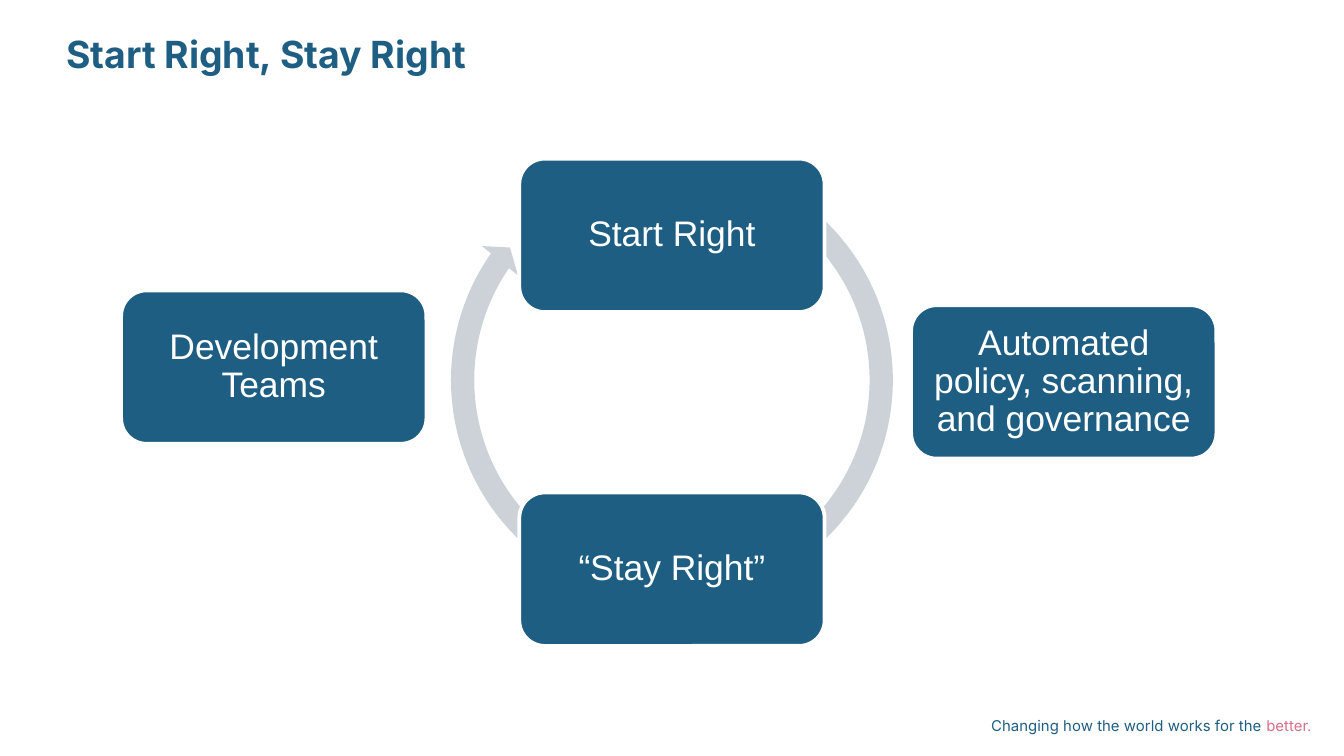
from lxml import etree
from pptx import Presentation
from pptx.dml.color import RGBColor
from pptx.enum.shapes import MSO_SHAPE
from pptx.enum.text import MSO_ANCHOR, MSO_AUTO_SIZE, PP_ALIGN
from pptx.util import Cm, Pt

ROUNDED = MSO_SHAPE.ROUNDED_RECTANGLE
CIRCULAR_ARROW = MSO_SHAPE.CIRCULAR_ARROW
TOP, MIDDLE = MSO_ANCHOR.TOP, MSO_ANCHOR.MIDDLE
LEFT, CENTER, RIGHT = PP_ALIGN.LEFT, PP_ALIGN.CENTER, PP_ALIGN.RIGHT
NO_AUTOFIT = MSO_AUTO_SIZE.NONE

COLORS = {"blue": "1E5E82", "pink": "D86E89", "grey": "CDD2D8", "white": "FFFFFF"}
SLIDE_WIDTH, SLIDE_HEIGHT = 25.4, 14.29
BOX_WIDTH, BOX_HEIGHT = 5.77, 2.9
CENTER_LEFT = (SLIDE_WIDTH - BOX_WIDTH) / 2
RING_SIZE = 8.79
RING_ADJUSTMENTS = (0.05, 2.73, 128.85, 179.95, 0.05)

BOXES = [
    ("Start Right", CENTER_LEFT, 3.0),
    ("Automated policy, scanning, and governance", 17.22, 5.77),
    ("“Stay Right”", CENTER_LEFT, 9.31),
    ("Development Teams", 2.29, 5.49),
]
TITLE_FONT = {"name": "Inter", "size": Pt(20), "bold": True}
FOOTER_FONT = {"name": "Inter", "size": Pt(8), "bold": False}
BOX_FONT = {"name": "Arial", "size": Pt(19), "bold": False}


def color(name):
    return RGBColor.from_string(COLORS[name])


def set_attributes(target, values):
    for name, value in values.items():
        setattr(target, name, value)


def write_text(shape, runs, font, alignment, anchor=TOP, inset=0, line_spacing=1.0):
    """Fill the shape with one paragraph of (text, color name) runs."""
    frame = shape.text_frame
    margins = {f"margin_{side}": Cm(inset) for side in ("left", "top", "right", "bottom")}
    set_attributes(frame, {"word_wrap": True, "auto_size": NO_AUTOFIT,
                           "vertical_anchor": anchor, **margins})
    paragraph = frame.paragraphs[0]
    set_attributes(paragraph, {"alignment": alignment, "line_spacing": line_spacing})
    for text, color_name in runs:
        run = paragraph.add_run()
        run.text = text
        set_attributes(run.font, font)
        run.font.color.rgb = color(color_name)


def add_filled_shape(slide, kind, left, top, width, height, fill):
    shape = slide.shapes.add_shape(kind, Cm(left), Cm(top), Cm(width), Cm(height))
    shape.shadow.inherit = False
    shape.fill.solid()
    shape.fill.fore_color.rgb = color(fill)
    shape.line.fill.background()
    return shape


def add_title(slide, text):
    title = slide.shapes.title
    set_attributes(title, {"left": Cm(1.25), "top": Cm(0.69),
                           "width": Cm(20.62), "height": Cm(0.84)})
    write_text(title, [(text, "blue")], TITLE_FONT, LEFT, line_spacing=0.9)


def add_footer(slide):
    footer = slide.shapes.add_textbox(Cm(18.06), Cm(13.54), Cm(6.73), Cm(0.28))
    runs = [("Changing how the world works for the ", "blue"), ("better.", "pink")]
    write_text(footer, runs, FOOTER_FONT, RIGHT)


def add_ring(slide):
    ring = add_filled_shape(slide, CIRCULAR_ARROW, (SLIDE_WIDTH - RING_SIZE) / 2, 2.79,
                            RING_SIZE, RING_SIZE, "grey")
    for index, value in enumerate(RING_ADJUSTMENTS):
        ring.adjustments[index] = value


def add_box(slide, text, left, top):
    box = add_filled_shape(slide, ROUNDED, left, top, BOX_WIDTH, BOX_HEIGHT, "blue")
    box.line.color.rgb = color("white")
    box.line.width = Pt(2)
    write_text(box, [(text, "white")], BOX_FONT, CENTER, MIDDLE, inset=0.2, line_spacing=0.9)


def main():
    presentation = Presentation()
    set_attributes(presentation, {"slide_width": Cm(SLIDE_WIDTH),
                                  "slide_height": Cm(SLIDE_HEIGHT)})
    slide = presentation.slides.add_slide(presentation.slide_layouts[5])
    add_footer(slide)
    add_title(slide, "Start Right, Stay Right")
    add_ring(slide)
    for text, left, top in BOXES:
        add_box(slide, text, left, top)
    presentation.save("out.pptx")


if __name__ == "__main__":
    main()
